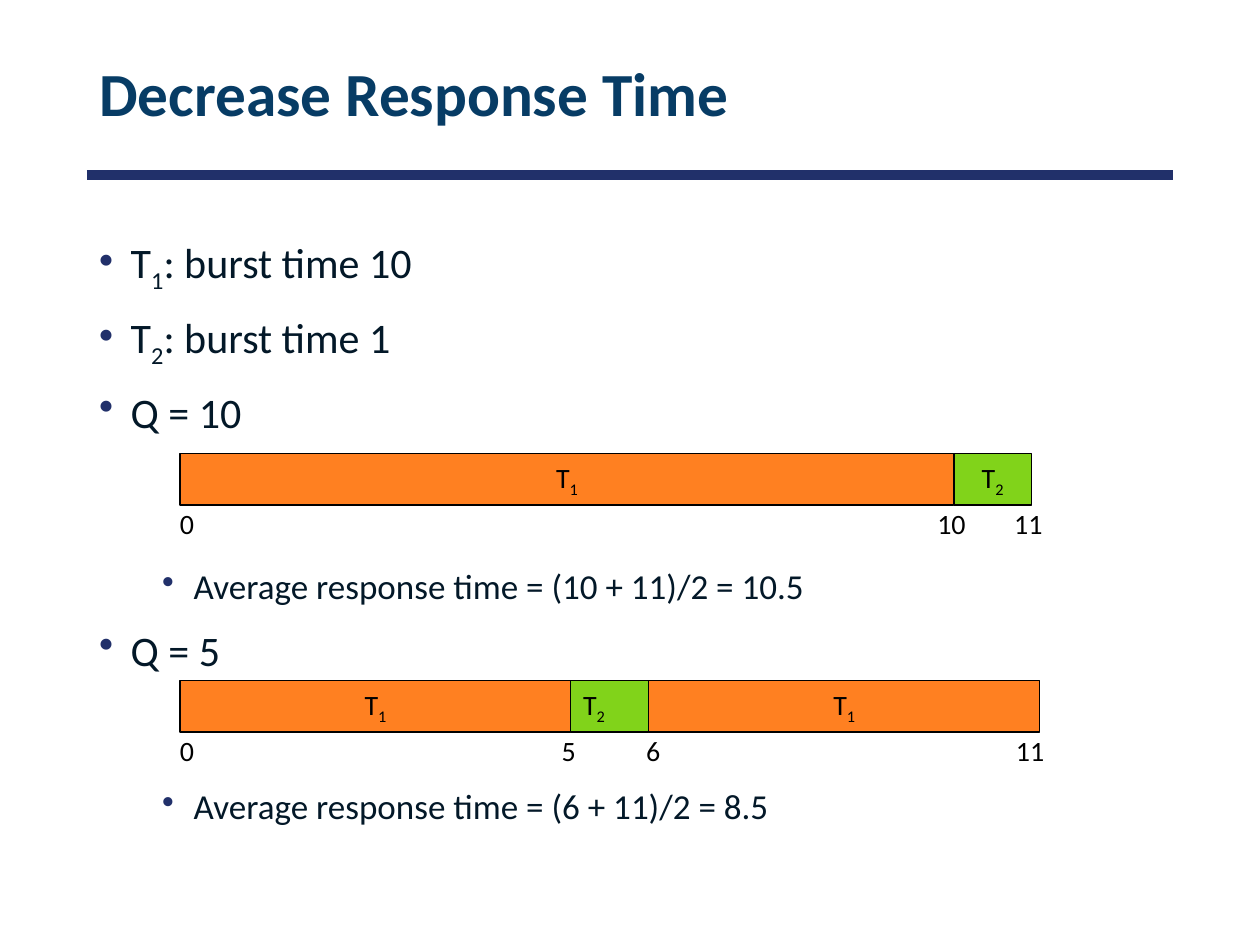
from dataclasses import dataclass

from lxml.etree import SubElement
from pptx import Presentation
from pptx.dml.color import RGBColor as Rgb
from pptx.enum.shapes import MSO_CONNECTOR as Connector, MSO_SHAPE as Shape
from pptx.enum.text import MSO_ANCHOR as Anchor, PP_ALIGN as Align
from pptx.oxml.ns import qn
from pptx.util import Cm, Pt


@dataclass(frozen=True)
class Theme:
    font: str = "Calibri"
    title: Rgb = Rgb(0x07, 0x3C, 0x65)
    body: Rgb = Rgb(0x03, 0x18, 0x28)
    accent: Rgb = Rgb(0x21, 0x30, 0x6A)
    black: Rgb = Rgb(0, 0, 0)
    title_size: int = 35
    level_sizes: tuple = (24, 20)
    bar_size: int = 16


THEME = Theme()
TASK_COLORS = {"1": Rgb(0xFF, 0x80, 0x21), "2": Rgb(0x81, 0xD3, 0x1A)}

TITLE = "Decrease Response Time"

# Level, space before in points, text parts (every second part is a subscript)
BULLETS = [
    (0, 0, ["T", "1", ": burst time 10"]),
    (0, 10, ["T", "2", ": burst time 1"]),
    (0, 10, ["Q = 10"]),
    (1, 73, ["Average response time = (10 + 11)/2 = 10.5"]),
    (0, 10, ["Q = 5"]),
    (1, 63, ["Average response time = (6 + 11)/2 = 8.5"]),
]

# Segments are (task, start, end, alignment); ticks map a time to its label's shift in cm
SCHEDULES = [
    {
        "top": 9.14,
        "unit": 1.56,
        "segments": [("1", 0, 10, Align.CENTER), ("2", 10, 11, Align.CENTER)],
        "ticks": {0: 0.14, 10: -0.05, 11: -0.06},
    },
    {
        "top": 13.72,
        "unit": 1.575,
        "segments": [
            ("1", 0, 5, Align.CENTER),
            ("2", 5, 6, Align.LEFT),
            ("1", 6, 11, Align.CENTER),
        ],
        "ticks": {0: 0.14, 5: -0.04, 6: 0.09, 11: -0.19},
    },
]

MARGIN, CONTENT_WIDTH = 1.75, 21.9
BAR_LEFT, BAR_HEIGHT = 3.63, 1.04
LABEL_WIDTH, LABEL_HEIGHT, LABEL_DROP = 1.2, 0.8, 0.37


def write_runs(paragraph, parts, size, color, bold=False):
    """Add the parts as runs; every second part is a subscript."""
    for index, part in enumerate(parts):
        run = paragraph.add_run()
        run.text = part
        font = run.font
        font.name, font.size, font.bold = THEME.font, Pt(size), bold
        font.color.rgb = color
        if index % 2:
            run._r.get_or_add_rPr().set("baseline", "-25000")


def add_bullet(paragraph, level):
    properties = paragraph._p.get_or_add_pPr()
    properties.set("marL", str(Cm(0.635 + 1.27 * level)))
    properties.set("indent", str(Cm(-0.635)))
    color = SubElement(properties, qn("a:buClr"))
    SubElement(color, qn("a:srgbClr")).set("val", str(THEME.accent))
    SubElement(properties, qn("a:buChar")).set("char", "•")


def add_text_box(slide, left, top, width, height, anchor=Anchor.MIDDLE):
    box = slide.shapes.add_textbox(Cm(left), Cm(top), Cm(width), Cm(height))
    frame = box.text_frame
    frame.word_wrap = True
    frame.vertical_anchor = anchor
    return frame


def add_header(slide):
    frame = add_text_box(slide, MARGIN, 0.58, CONTENT_WIDTH, 2.74)
    paragraph = frame.paragraphs[0]
    paragraph.line_spacing = 0.9
    write_runs(paragraph, [TITLE], THEME.title_size, THEME.title, bold=True)

    rule = slide.shapes.add_connector(
        Connector.STRAIGHT, Cm(MARGIN), Cm(3.53), Cm(MARGIN + CONTENT_WIDTH), Cm(3.53)
    )
    rule.line.color.rgb = THEME.accent
    rule.line.width = Pt(6)
    SubElement(rule._element.spPr, qn("a:effectLst"))


def add_bullets(slide):
    frame = add_text_box(slide, MARGIN, 4.65, CONTENT_WIDTH, 13.79, Anchor.TOP)
    for index, (level, space, parts) in enumerate(BULLETS):
        paragraph = frame.add_paragraph() if index else frame.paragraphs[0]
        paragraph.level = level
        paragraph.space_before = Pt(space)
        add_bullet(paragraph, level)
        write_runs(paragraph, parts, THEME.level_sizes[level], THEME.body)


def add_schedule(slide, schedule):
    """Draw one time line: a bar per task segment and a label per tick."""
    top, unit = schedule["top"], schedule["unit"]
    for task, start, end, alignment in schedule["segments"]:
        bar = slide.shapes.add_shape(
            Shape.RECTANGLE,
            Cm(BAR_LEFT + start * unit), Cm(top),
            Cm((end - start) * unit), Cm(BAR_HEIGHT),
        )
        bar.shadow.inherit = False
        bar.fill.solid()
        bar.fill.fore_color.rgb = TASK_COLORS[task]
        bar.line.color.rgb = THEME.black
        bar.line.width = Pt(0.75)
        bar.text_frame.vertical_anchor = Anchor.MIDDLE
        paragraph = bar.text_frame.paragraphs[0]
        paragraph.alignment = alignment
        write_runs(paragraph, ["T", task], THEME.bar_size, THEME.black)

    label_top = top + BAR_HEIGHT + LABEL_DROP - LABEL_HEIGHT / 2
    for time, shift in schedule["ticks"].items():
        left = BAR_LEFT + time * unit + shift - LABEL_WIDTH / 2
        frame = add_text_box(slide, left, label_top, LABEL_WIDTH, LABEL_HEIGHT)
        paragraph = frame.paragraphs[0]
        paragraph.alignment = Align.CENTER
        write_runs(paragraph, [str(time)], THEME.bar_size, THEME.black)


def main():
    presentation = Presentation()
    presentation.slide_width, presentation.slide_height = Cm(25.4), Cm(19.05)
    slide = presentation.slides.add_slide(presentation.slide_layouts[6])
    add_header(slide)
    add_bullets(slide)
    for schedule in SCHEDULES:
        add_schedule(slide, schedule)
    presentation.save("out.pptx")


if __name__ == "__main__":
    main()
